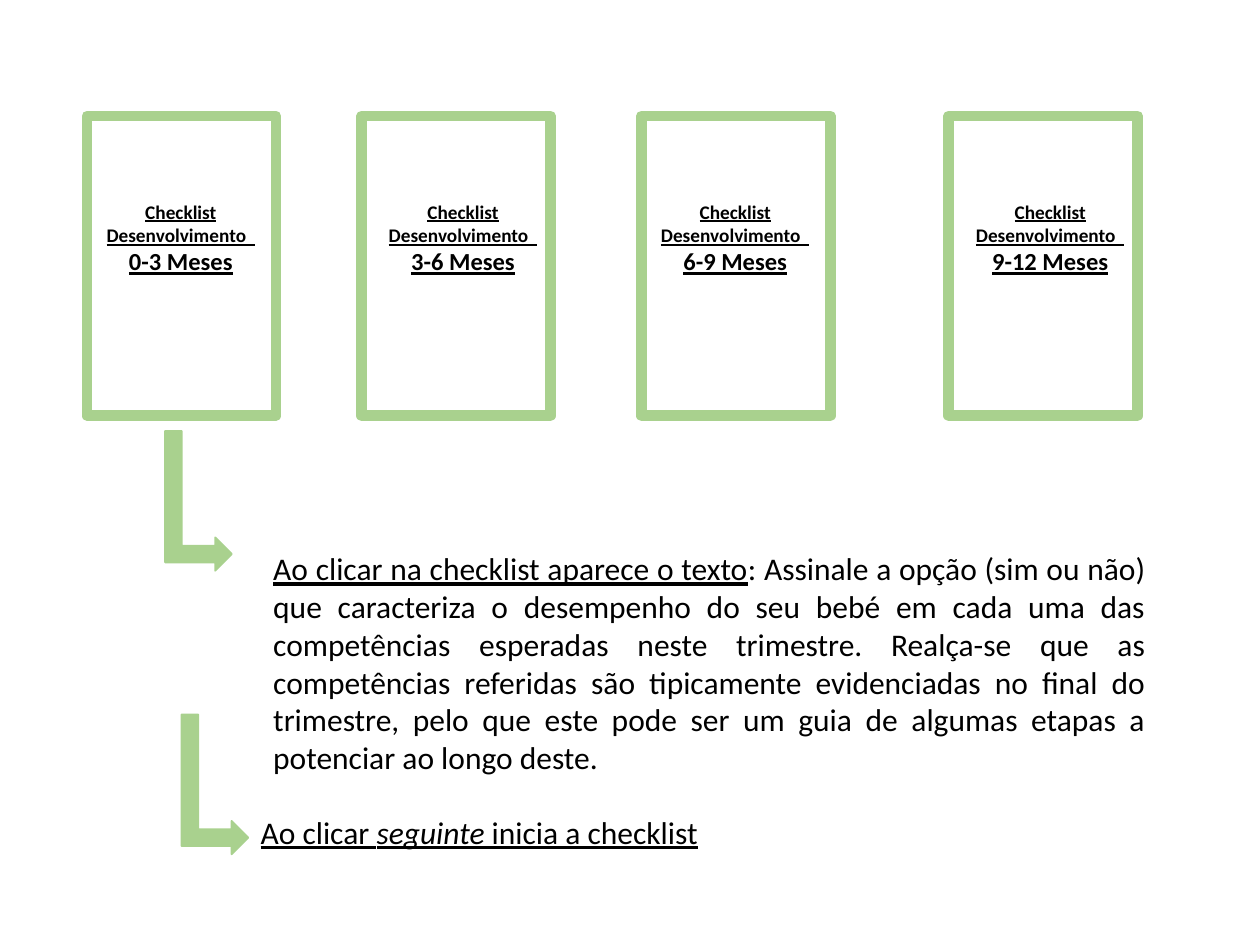
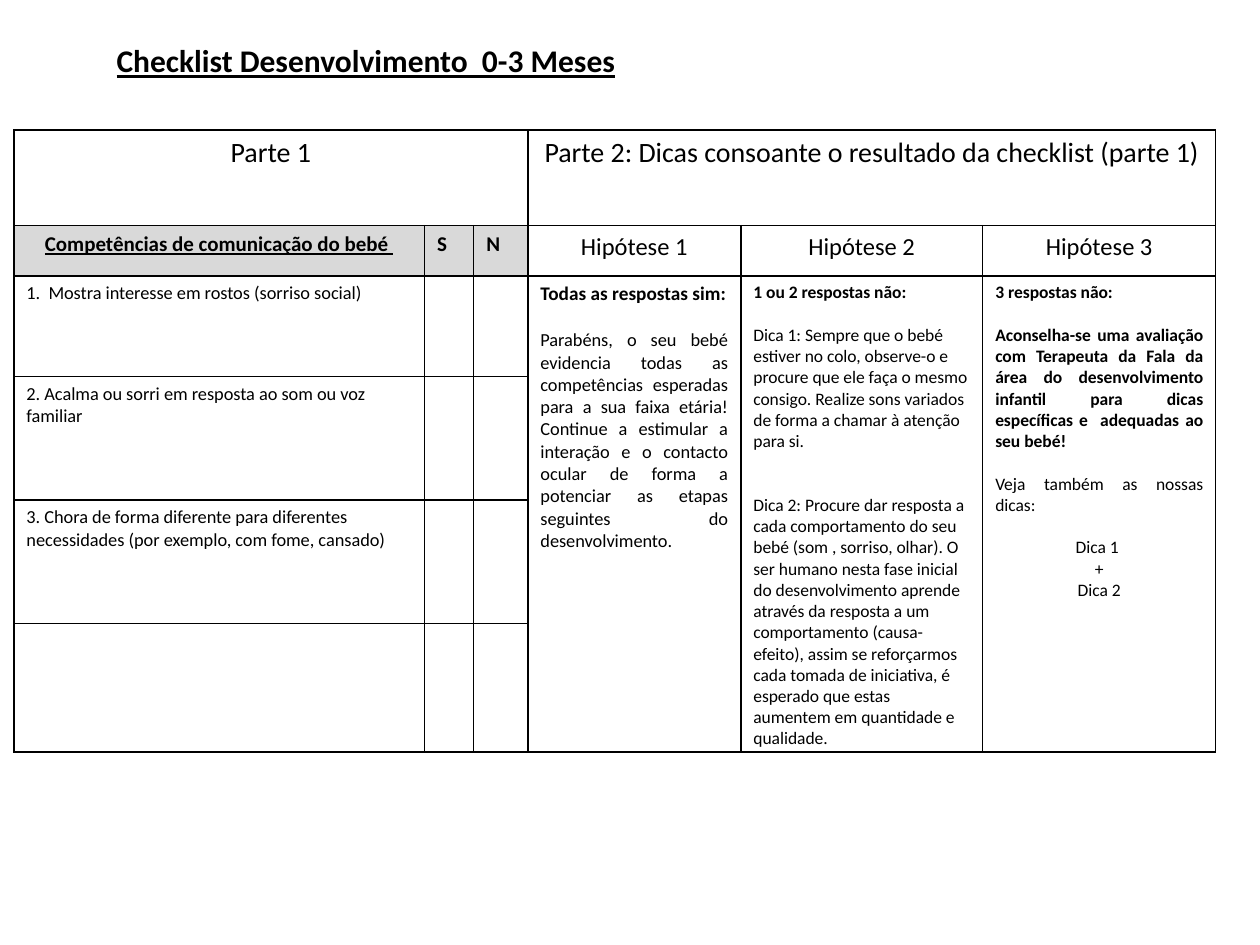
"""Builds the two slides on the baby development checklist."""
from dataclasses import dataclass
from typing import NamedTuple

from lxml.etree import SubElement
from pptx import Presentation
from pptx.dml.color import RGBColor
from pptx.enum.shapes import MSO_SHAPE as Shape
from pptx.enum.text import MSO_ANCHOR as Anchor, MSO_AUTO_SIZE as Fit, PP_ALIGN as Align
from pptx.oxml.ns import qn
from pptx.util import Inches, Pt

SLIDE_W, SLIDE_H = Inches(10), Inches(7.5)
COL, ROW = SLIDE_W / 100, SLIDE_H / 75
TITLE_ONLY, BLANK = 5, 6


@dataclass(frozen=True)
class Theme:
    """Colours, font and type sizes of the deck."""
    font: str = "Calibri"
    ink: RGBColor = RGBColor(0x00, 0x00, 0x00)
    green: RGBColor = RGBColor(0xA9, 0xD1, 0x8E)
    grey: RGBColor = RGBColor(0xD9, 0xD9, 0xD9)
    title: float = 18
    banner: float = 16
    heading: float = 14
    label: float = 12
    caption: float = 11
    body: float = 10.5
    small: float = 10
    card_line: float = 6
    thin_line: float = 1


class Area(NamedTuple):
    """Place on the grid, in columns and rows."""
    col: float
    row: float
    cols: float
    rows: float

    def box(self) -> tuple[int, int, int, int]:
        """Return left, top, width and height as lengths."""
        return (round(self.col * COL), round(self.row * ROW),
                round(self.cols * COL), round(self.rows * ROW))


class Run(NamedTuple):
    """Stretch of text that differs from its paragraph."""
    text: str
    underline: bool | None = None
    italic: bool | None = None


class Para(NamedTuple):
    """Paragraph with one look, or with runs of its own."""
    text: str | tuple[Run, ...]
    size: float
    align: Align = Align.LEFT
    bold: bool = False
    underline: bool = False
    before: float = 0


class Card(NamedTuple):
    """Checklist card and its caption."""
    age: str
    col: float
    caption_col: float


class Entry(NamedTuple):
    """Table cell with its span."""
    row: int
    col: int
    paras: tuple[Para, ...]
    row_span: int = 1
    col_span: int = 1


THEME = Theme()

CARDS = (Card("0-3 Meses", 6.9, 7.4), Card("3-6 Meses", 28.7, 29.8),
         Card("6-9 Meses", 50.9, 51.4), Card("9-12 Meses", 75.3, 76.4))
ARROWS = (Area(10.2, 37.1, 11.1, 5.3), Area(11.5, 59.6, 11.1, 5.3))

INSTRUCTION = Para((
    Run("Ao clicar na checklist aparece o texto", underline=True),
    Run(": Assinale a opção (sim ou não) que caracteriza o desempenho do seu bebé em cada "
        "uma das competências esperadas neste trimestre. Realça-se que as competências "
        "referidas são tipicamente evidenciadas no final do trimestre, pelo que este pode "
        "ser um guia de algumas etapas a potenciar ao longo deste."),
), THEME.title, Align.JUSTIFY)
NEXT_STEP = Para((Run("Ao clicar "), Run("seguinte", italic=True), Run(" inicia a checklist")),
                 THEME.title, underline=True)

TITLE = Para("Checklist Desenvolvimento  0-3 Meses", THEME.title, Align.CENTER, True, True)
TABLE_AREA = Area(1.1, 10.3, 95.4, 49.3)
TABLE_COLS = (32.6, 3.9, 4.3, 16.9, 19.2, 18.5)
TABLE_ROWS = (7.6, 4, 8, 9.8, 9.8, 10.1)
SHADED = {(1, 0), (1, 1), (1, 2)}

SKILLS = ("1.  Mostra interesse em rostos (sorriso social)",
          "2. Acalma ou sorri em resposta ao som ou voz familiar",
          "3. Chora de forma diferente para diferentes necessidades "
          "(por exemplo, com fome, cansado)")
ALL_YES = (
    Para("Todas as respostas sim:", THEME.caption, Align.JUSTIFY, bold=True),
    Para("Parabéns, o seu bebé evidencia todas as competências esperadas para a sua faixa "
         "etária! Continue a estimular a interação e o contacto ocular de forma a potenciar "
         "as etapas seguintes do desenvolvimento.", THEME.body, Align.JUSTIFY, before=13.4),
)
SOME_NO = (
    Para("1 ou 2 respostas não:", THEME.small, bold=True),
    Para("Dica 1: Sempre que o bebé estiver no colo, observe-o e procure que ele faça o mesmo "
         "consigo. Realize sons variados de forma a chamar à atenção para si.",
         THEME.small, before=12.2),
    Para("Dica 2: Procure dar resposta a cada comportamento do seu bebé (som , sorriso, olhar). "
         "O ser humano nesta fase inicial do desenvolvimento aprende através da resposta a um "
         "comportamento (causa-efeito), assim se reforçarmos cada tomada de iniciativa, é "
         "esperado que estas aumentem em quantidade e qualidade.", THEME.small, before=24.4),
)
THREE_NO = (
    Para("3 respostas não:", THEME.small, bold=True),
    Para("Aconselha-se uma avaliação com Terapeuta da Fala da área do desenvolvimento infantil "
         "para dicas específicas e  adequadas ao seu bebé!",
         THEME.small, Align.JUSTIFY, bold=True, before=12.2),
    Para("Veja também as nossas dicas:", THEME.small, Align.JUSTIFY, before=12.2),
    Para("Dica 1 ", THEME.small, Align.CENTER, before=12.2),
    Para("+", THEME.small, Align.CENTER),
    Para("Dica 2", THEME.small, Align.CENTER),
)
ENTRIES = (
    Entry(0, 0, (Para("Parte 1", THEME.banner, Align.CENTER),), col_span=3),
    Entry(0, 3, (Para("Parte 2: Dicas consoante o resultado da checklist (parte 1)",
                      THEME.banner, Align.CENTER),), col_span=3),
    Entry(1, 0, (Para("Competências de comunicação do bebé ", THEME.label,
                      Align.CENTER, True, True),)),
    *(Entry(1, col, (Para(answer, THEME.label, bold=True),))
      for col, answer in enumerate("SN", 1)),
    *(Entry(1, 2 + n, (Para(f"Hipótese {n}", THEME.heading, Align.CENTER),))
      for n in (1, 2, 3)),
    *(Entry(row, 0, (Para(skill, THEME.body),)) for row, skill in enumerate(SKILLS, 2)),
    *(Entry(2, col, paras, row_span=4)
      for col, paras in enumerate((ALL_YES, SOME_NO, THREE_NO), 3)),
)


def write(tf, paras: tuple[Para, ...]) -> None:
    """Fill a text frame with paragraphs."""
    for i, para in enumerate(paras):
        p = tf.add_paragraph() if i else tf.paragraphs[0]
        p.alignment = para.align
        if para.before:
            p.space_before = Pt(para.before)
        p.font.name, p.font.size = THEME.font, Pt(para.size)
        p.font.bold, p.font.underline = para.bold, para.underline
        p.font.color.rgb = THEME.ink
        runs = (Run(para.text),) if isinstance(para.text, str) else para.text
        for run in runs:
            r = p.add_run()
            r.text = run.text
            if run.underline is not None:
                r.font.underline = run.underline
            if run.italic is not None:
                r.font.italic = run.italic


def add_text(slide, area: Area, *paras: Para, wrap: bool = True) -> None:
    """Add a text box that grows with its text."""
    tf = slide.shapes.add_textbox(*area.box()).text_frame
    tf.word_wrap, tf.auto_size = wrap, Fit.SHAPE_TO_FIT_TEXT
    write(tf, paras)


def add_figure(slide, kind: Shape, area: Area, line: float):
    """Add an unfilled green-lined preset shape."""
    sp = slide.shapes.add_shape(kind, *area.box())
    sp.shadow.inherit = False
    sp.fill.background()
    sp.line.color.rgb, sp.line.width = THEME.green, Pt(line)
    return sp


def add_card(slide, card: Card) -> None:
    """Add a framed card with its caption."""
    add_figure(slide, Shape.RECTANGLE, Area(card.col, 9.2, 15, 23.8), THEME.card_line)
    add_text(slide, Area(card.caption_col, 15.4, 13.9, 10.1),
             Para("Checklist Desenvolvimento  ", THEME.caption, Align.CENTER, True, True),
             Para(card.age, THEME.heading, Align.CENTER, True, True))


def add_arrow(slide, area: Area) -> None:
    """Add a green arrow that turns from down to right."""
    sp = add_figure(slide, Shape.BENT_UP_ARROW, area, THEME.thin_line)
    sp.fill.solid()
    sp.fill.fore_color.rgb = THEME.green
    sp.rotation = 90


def set_title(slide, area: Area, para: Para) -> None:
    """Move and format the title placeholder."""
    sp = slide.shapes.title
    sp.left, sp.top, sp.width, sp.height = area.box()
    tf = sp.text_frame
    tf.word_wrap, tf.auto_size = False, Fit.SHAPE_TO_FIT_TEXT
    tf.vertical_anchor = Anchor.TOP
    write(tf, (para,))
    tf.paragraphs[0].line_spacing, tf.paragraphs[0].space_after = 1.06, Pt(8)


def set_borders(cell) -> None:
    """Draw a thin line on each side of a cell."""
    tc_pr = cell._tc.get_or_add_tcPr()
    for i, side in enumerate(("a:lnL", "a:lnR", "a:lnT", "a:lnB")):
        ln = SubElement(tc_pr, qn(side), w=str(Pt(THEME.thin_line)))
        fill = SubElement(ln, qn("a:solidFill"))
        SubElement(fill, qn("a:srgbClr"), val=str(THEME.ink))
        tc_pr.insert(i, ln)


def add_checklist(slide) -> None:
    """Add the table of skills and advice."""
    table = slide.shapes.add_table(len(TABLE_ROWS), len(TABLE_COLS), *TABLE_AREA.box()).table
    table.first_row = table.horz_banding = False
    for column, cols in zip(table.columns, TABLE_COLS):
        column.width = round(cols * COL)
    for i, rows in enumerate(TABLE_ROWS):
        table.rows[i].height = round(rows * ROW)
        for j in range(len(TABLE_COLS)):
            cell = table.cell(i, j)
            if (i, j) in SHADED:
                cell.fill.solid()
                cell.fill.fore_color.rgb = THEME.grey
            else:
                cell.fill.background()
            set_borders(cell)
    for entry in ENTRIES:
        cell = table.cell(entry.row, entry.col)
        if entry.row_span * entry.col_span > 1:
            cell.merge(table.cell(entry.row + entry.row_span - 1,
                                  entry.col + entry.col_span - 1))
        write(cell.text_frame, entry.paras)


def main() -> None:
    """Build and save the deck."""
    prs = Presentation()
    prs.slide_width, prs.slide_height = SLIDE_W, SLIDE_H

    overview = prs.slides.add_slide(prs.slide_layouts[BLANK])
    for card in CARDS:
        add_card(overview, card)
    for arrow in ARROWS:
        add_arrow(overview, arrow)
    add_text(overview, Area(20.7, 43.1, 71.2, 19.2), INSTRUCTION)
    add_text(overview, Area(19.7, 64, 37.2, 4), NEXT_STEP, wrap=False)

    checklist = prs.slides.add_slide(prs.slide_layouts[TITLE_ONLY])
    set_title(checklist, Area(8.1, 2.6, 41.9, 4.1), TITLE)
    add_checklist(checklist)

    prs.save("out.pptx")


if __name__ == "__main__":
    main()
